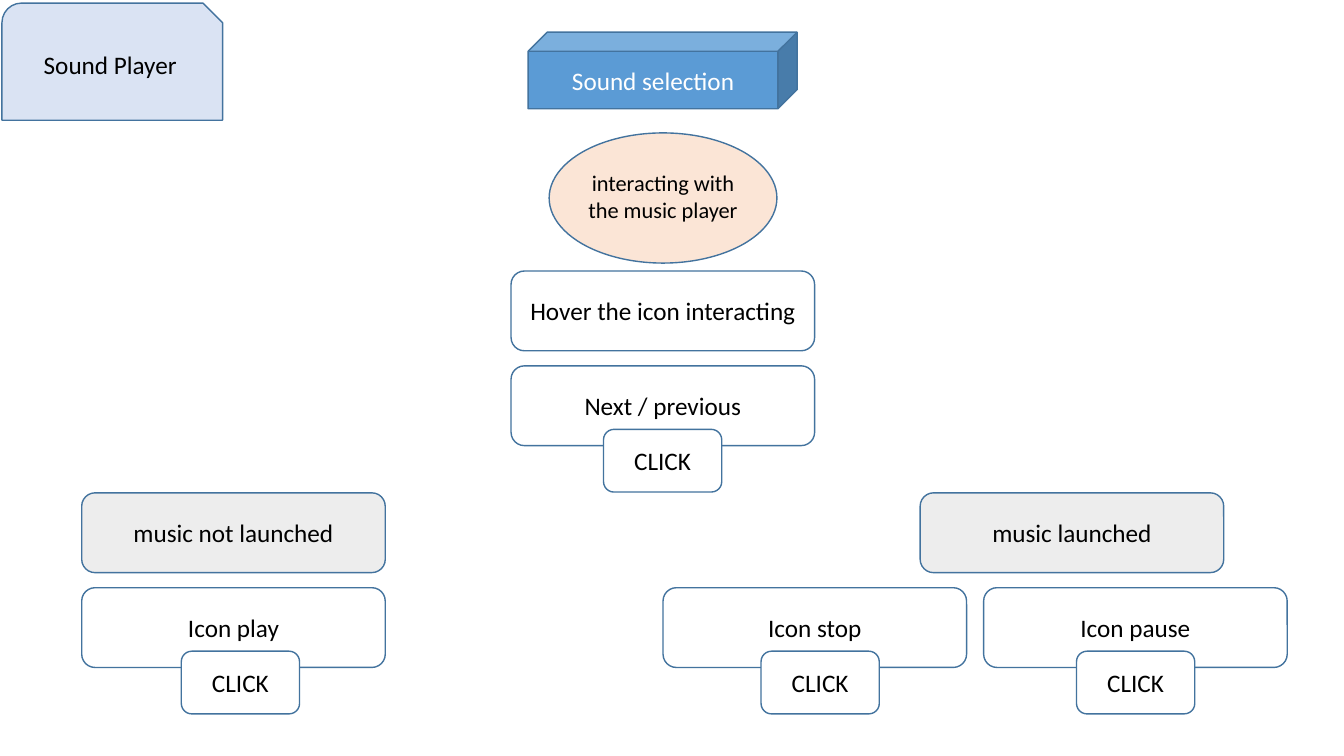
from pptx import Presentation
from pptx.dml.color import RGBColor
from pptx.enum.shapes import MSO_SHAPE
from pptx.enum.text import MSO_ANCHOR, MSO_AUTO_SIZE, PP_ALIGN
from pptx.util import Cm, Pt

BLACK = RGBColor(0x00, 0x00, 0x00)
WHITE = RGBColor(0xFF, 0xFF, 0xFF)
OUTLINE = RGBColor(0x43, 0x73, 0x9E)
BLUE = RGBColor(0x5B, 0x9B, 0xD5)
PALE_BLUE = RGBColor(0xDA, 0xE3, 0xF3)
PEACH = RGBColor(0xFB, 0xE5, 0xD6)
GREY = RGBColor(0xED, 0xED, 0xED)

HEADINGS = [
    ("Sound Player", MSO_SHAPE.SNIP_ROUND_RECTANGLE, (0.05, 0.08, 5.56, 2.95), PALE_BLUE, BLACK),
    ("", MSO_SHAPE.OVAL, (13.84, 3.35, 5.74, 3.28), PEACH, BLACK),
    ("Sound selection", MSO_SHAPE.CUBE, (13.84 - 0.53, 0.81, 6.78, 1.93), BLUE, WHITE),
]
PLAYER_LINES = ["interacting with", "the music player"]
PLAYER_BOX = (14.55, 4.14, 4.32, 1.63)

CARD_SIZE = (7.65, 2.01)
CLICK_SIZE = (2.98, 1.58)
CLICK_DROP = 1.6
ROW_STEP = 2.39
SELECT_TOP = 6.83
STATE_TOP = 12.42

CARDS = [
    ("Hover the icon interacting", 12.88, SELECT_TOP, 0, WHITE),
    ("Icon play", 2.06, STATE_TOP, 1, WHITE),
    ("music not launched", 2.06, STATE_TOP, 0, GREY),
    ("music launched", 23.19, STATE_TOP, 0, GREY),
    ("Next / previous", 12.88, SELECT_TOP, 1, WHITE),
    ("Icon stop", 16.71, STATE_TOP, 1, WHITE),
    ("Icon pause", 24.79, STATE_TOP, 1, WHITE),
]
CLICKS = [(4.57, STATE_TOP), (19.18, STATE_TOP), (27.13, STATE_TOP), (15.21, SELECT_TOP)]


def write_lines(frame, lines, size, color):
    font_format = {"name": "Calibri", "size": Pt(size)}
    for index, line in enumerate(lines):
        para = frame.paragraphs[0] if index == 0 else frame.add_paragraph()
        para.alignment = PP_ALIGN.CENTER
        span = para.add_run()
        span.text = line
        for name, value in font_format.items():
            setattr(span.font, name, value)
        span.font.color.rgb = color


def add_block(page, kind, place, fill, text, color=BLACK):
    block = page.shapes.add_shape(kind, *map(Cm, place))
    block.shadow.inherit = False
    block.fill.solid()
    block.fill.fore_color.rgb = fill
    block.line.color.rgb = OUTLINE
    block.line.width = Pt(1)
    block.text_frame.vertical_anchor = MSO_ANCHOR.MIDDLE
    if text:
        write_lines(block.text_frame, [text], 18, color)


def main():
    deck = Presentation()
    deck.slide_width, deck.slide_height = Cm(33.87), Cm(19.05)
    page = deck.slides.add_slide(deck.slide_layouts[6])

    for text, kind, place, fill, color in HEADINGS:
        add_block(page, kind, place, fill, text, color)

    frame = page.shapes.add_textbox(*map(Cm, PLAYER_BOX)).text_frame
    frame_format = {"word_wrap": False, "auto_size": MSO_AUTO_SIZE.SHAPE_TO_FIT_TEXT}
    for name, value in frame_format.items():
        setattr(frame, name, value)
    write_lines(frame, PLAYER_LINES, 16, BLACK)

    for text, left, group_top, row, fill in CARDS:
        place = (left, group_top + row * ROW_STEP, *CARD_SIZE)
        add_block(page, MSO_SHAPE.ROUNDED_RECTANGLE, place, fill, text)

    for left, group_top in CLICKS:
        place = (left, group_top + ROW_STEP + CLICK_DROP, *CLICK_SIZE)
        add_block(page, MSO_SHAPE.ROUNDED_RECTANGLE, place, WHITE, "CLICK")

    deck.save("out.pptx")


if __name__ == "__main__":
    main()
